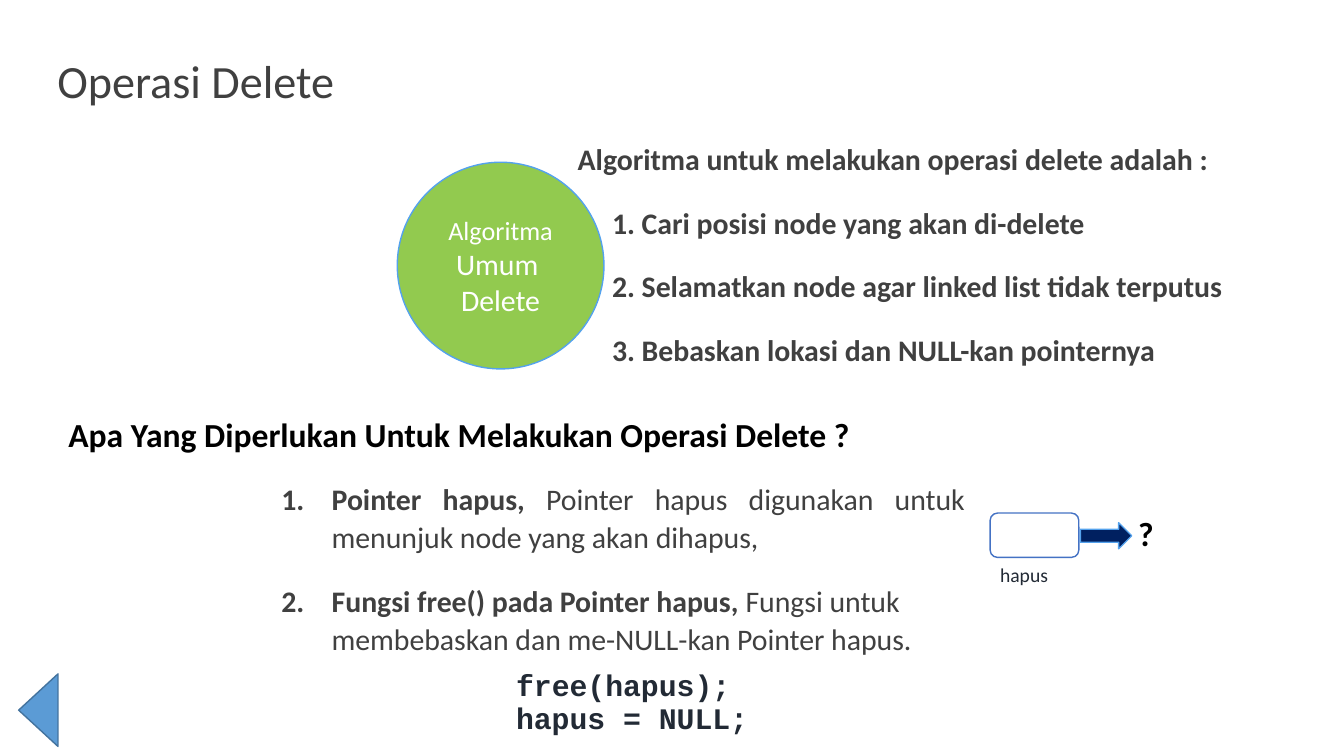
from lxml import etree
from pptx import Presentation
from pptx.dml.color import RGBColor
from pptx.enum import shapes, text
from pptx.oxml.ns import qn
from pptx.util import Inches, Pt

BLACK = RGBColor(0x00, 0x00, 0x00)
WHITE = RGBColor(0xFF, 0xFF, 0xFF)
GREY = RGBColor(0x40, 0x40, 0x40)
SLATE = RGBColor(0x22, 0x2A, 0x35)
GREEN = RGBColor(0x92, 0xCA, 0x4F)
NAVY = RGBColor(0x00, 0x20, 0x60)
SKY = RGBColor(0x54, 0xA2, 0xED)
BLUE = RGBColor(0x5B, 0x9B, 0xD5)
DARK_BLUE = RGBColor(0x43, 0x73, 0x9E)
NODE_BLUE = RGBColor(0x44, 0x72, 0xC4)
LEFT, CENTER, JUSTIFY = text.PP_ALIGN.LEFT, text.PP_ALIGN.CENTER, text.PP_ALIGN.JUSTIFY
KIND = shapes.MSO_SHAPE

prs = Presentation()
prs.slide_width, prs.slide_height = Inches(13.33), Inches(7.5)
slide = prs.slides.add_slide(prs.slide_layouts[6])


def add_text(box, lines, size, color, bold=False, wrap=True, inset=0.1):
    """Add a text box with one paragraph per line; return its paragraphs."""
    frame = slide.shapes.add_textbox(*map(Inches, box)).text_frame
    frame.word_wrap = wrap
    frame.margin_left = Inches(inset)
    frame.text = "\n".join(lines)
    for line in frame.paragraphs:
        line.font.name, line.font.size = "Calibri", Pt(size)
        line.font.color.rgb, line.font.bold = color, bold
    return frame.paragraphs


def add_figure(kind, box, fill, outline, rotation=0):
    figure = slide.shapes.add_shape(kind, *map(Inches, box))
    figure.shadow.inherit = False
    figure.rotation = rotation
    figure.fill.solid()
    figure.fill.fore_color.rgb = fill
    figure.line.color.rgb = outline
    figure.line.width = Pt(1)
    return figure


title = add_text((0.47, 0.18, 5.3, 1.29), ["Operasi Delete"], 33, GREY)[0]
title.line_spacing = 0.9
slide.shapes[-1].text_frame.vertical_anchor = text.MSO_ANCHOR.MIDDLE

# Algorithm steps beside the circle
steps = add_text((5.3, 1.32, 7.31, 2.42), [
    "Algoritma untuk melakukan operasi delete adalah :",
    "1. Cari posisi node yang akan di-delete",
    "2. Selamatkan node agar linked list tidak terputus",
    "3. Bebaskan lokasi dan NULL-kan pointernya",
], 21.3, GREY, bold=True, inset=0.43)
for step in steps:
    step.line_spacing, step.space_before, step.space_after = 1.07, Pt(7.5), Pt(10.7)
for step in steps[1:]:
    step._p.get_or_add_pPr().set("marL", str(Inches(0.34)))

circle = add_figure(KIND.OVAL, (3.94, 1.61, 2.05, 2.05), GREEN, SKY).text_frame
circle.vertical_anchor = text.MSO_ANCHOR.MIDDLE
for line, words in enumerate([[("Algoritma ", 18.7), ("Umum ", 21.3)], [("Delete", 21.3)]]):
    label = circle.add_paragraph() if line else circle.paragraphs[0]
    label.alignment = CENTER
    label.font.name, label.font.color.rgb = "Calibri", WHITE
    for word, size in words:
        run = label.add_run()
        run.text, run.font.size = word, Pt(size)

add_figure(KIND.ISOSCELES_TRIANGLE, (0.02, 6.85, 0.72, 0.39), BLUE, DARK_BLUE, 270)

# Requirements and code
add_text((0.58, 4.06, 8.03, 0.5), ["Apa Yang Diperlukan Untuk Melakukan Operasi Delete ?"],
         24, BLACK, bold=True, wrap=False)

needs = [
    ("Pointer hapus, ", "Pointer hapus digunakan untuk menunjuk node yang akan dihapus,", JUSTIFY),
    ("Fungsi free() pada Pointer hapus, ",
     "Fungsi untuk membebaskan dan me-NULL-kan Pointer hapus.", LEFT),
]
code = ["free(hapus);", " hapus = NULL;"]
body = add_text((2.36, 4.69, 7.31, 3.18), [need[0] for need in needs] + code,
                21.3, GREY, inset=0.43)
for item, (term, meaning, alignment) in zip(body, needs):
    item.runs[0].font.bold = True
    item.add_run().text = meaning
    item.alignment = alignment
    item.line_spacing, item.space_before, item.space_after = 1.07, Pt(7.5), Pt(10.7)
    properties = item._p.get_or_add_pPr()
    properties.set("marL", str(Inches(0.5)))
    properties.set("indent", str(Inches(-0.5)))
    number = etree.Element(qn("a:buAutoNum"), type="arabicPeriod")
    properties.find(qn("a:spcAft")).addnext(number)
for statement in body[len(needs):]:
    statement.alignment, statement.line_spacing = CENTER, 0.9
    statement.font.name, statement.font.bold = "Courier New", True
    statement.font.color.rgb = SLATE

# Pointer diagram
add_text((9.82, 5.54, 0.88, 0.34), ["hapus"], 14, SLATE)
add_figure(KIND.ROUNDED_RECTANGLE, (9.82, 5.09, 0.88, 0.44), WHITE, NODE_BLUE)
add_figure(KIND.DOWN_ARROW, (10.84, 5.06, 0.26, 0.51), NAVY, SKY, 270)
add_text((11.19, 5.04, 0.42, 0.5), ["?"], 24, BLACK, bold=True)

prs.save("out.pptx")
